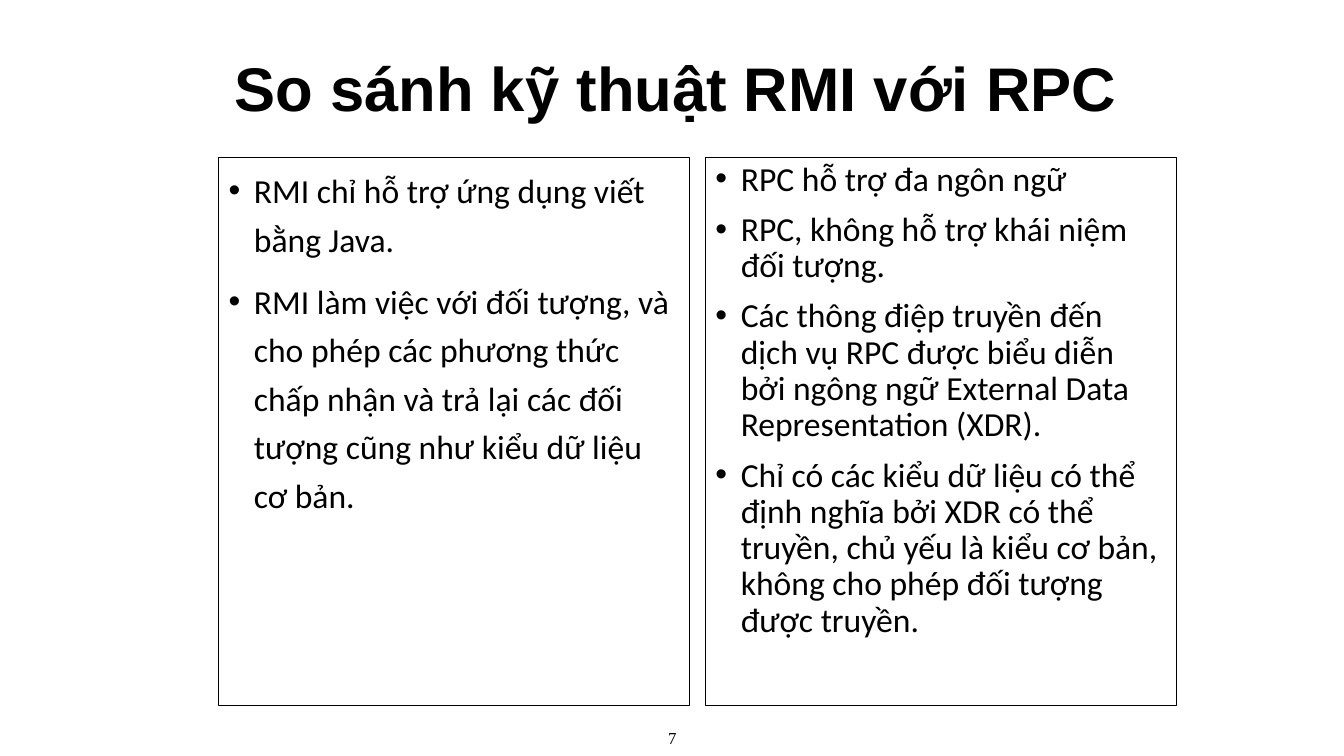
from lxml import etree
from pptx import Presentation
from pptx import util as u
from pptx.dml.color import RGBColor
from pptx.enum import shapes, text
from pptx.oxml import ns

BLACK = RGBColor(0x00, 0x00, 0x00)
WHITE = RGBColor(0xFF, 0xFF, 0xFF)

RMI_POINTS = [
    "RMI chỉ hỗ trợ ứng dụng viết bằng Java.",
    "RMI làm việc với đối tượng, và cho phép các phương thức chấp nhận "
    "và trả lại các đối tượng cũng như kiểu dữ liệu cơ bản.",
]
RPC_POINTS = [
    "RPC hỗ trợ đa ngôn ngữ",
    "RPC, không hỗ trợ khái niệm đối tượng.",
    "Các thông điệp truyền đến dịch vụ RPC được biểu diễn bởi ngông ngữ "
    "External Data Representation (XDR).",
    "Chỉ có các kiểu dữ liệu có thể định nghĩa bởi XDR có thể truyền, "
    "chủ yếu là kiểu cơ bản, không cho phép đối tượng được truyền.",
]


class ComparisonSlide:
    TITLE_FONT, BODY_FONT, NUMBER_FONT = "Arial", "Calibri", "Times New Roman"
    INDENT = u.Cm(0.64)

    def __init__(self, deck):
        self.slide = deck.slides.add_slide(deck.slide_layouts[5])
        self.slide.background.fill.solid()
        self.slide.background.fill.fore_color.rgb = WHITE

    def style(self, paragraph, font, size, align, bold=False):
        paragraph.alignment = align
        for run in paragraph.runs:
            run.font.name = font
            run.font.size = u.Pt(size)
            run.font.bold = bold
            run.font.color.rgb = BLACK

    def title(self, wording, left, top, width, height):
        heading = self.slide.shapes.title
        heading.left, heading.top = left, top
        heading.width, heading.height = width, height
        frame = heading.text_frame
        frame.text = wording
        frame.word_wrap = True
        frame.auto_size = text.MSO_AUTO_SIZE.NONE
        frame.vertical_anchor = text.MSO_ANCHOR.MIDDLE
        frame.paragraphs[0].line_spacing = 0.9
        self.style(frame.paragraphs[0], self.TITLE_FONT, 44, text.PP_ALIGN.LEFT, bold=True)

    def bullet(self, paragraph):
        properties = paragraph._p.get_or_add_pPr()
        properties.set("marL", str(self.INDENT))
        properties.set("indent", str(-self.INDENT))
        etree.SubElement(properties, ns.qn("a:buFont"), typeface="Arial")
        etree.SubElement(properties, ns.qn("a:buChar"), char="•")

    def panel(self, points, left, top, width, height, line_spacing):
        """Outlined box holding a bulleted list."""
        box = self.slide.shapes.add_shape(
            shapes.MSO_SHAPE.RECTANGLE, left, top, width, height)
        box.shadow.inherit = False
        box.fill.background()
        box.line.color.rgb = BLACK
        box.line.width = u.Pt(0.75)
        frame = box.text_frame
        frame.text = "\n".join(points)
        frame.word_wrap = True
        frame.vertical_anchor = text.MSO_ANCHOR.TOP
        for paragraph in frame.paragraphs:
            paragraph.line_spacing = line_spacing
            paragraph.space_before = u.Pt(10)
            self.bullet(paragraph)
            self.style(paragraph, self.BODY_FONT, 24, text.PP_ALIGN.LEFT)

    def page_number(self, number, left, top, width, height):
        frame = self.slide.shapes.add_textbox(left, top, width, height).text_frame
        frame.text = str(number)
        frame.word_wrap = True
        frame.vertical_anchor = text.MSO_ANCHOR.MIDDLE
        self.style(frame.paragraphs[0], self.NUMBER_FONT, 12, text.PP_ALIGN.CENTER)


def main():
    deck = Presentation()
    deck.slide_width, deck.slide_height = u.Cm(33.87), u.Cm(19.05)

    comparison = ComparisonSlide(deck)
    comparison.title("So sánh kỹ thuật RMI với RPC",
                     u.Cm(5.66), u.Cm(1.02), u.Cm(25.86), u.Cm(2.59))

    panel_left, panel_width, panel_gap = u.Cm(5.51), u.Cm(11.86), u.Cm(0.41)
    columns = [(RMI_POINTS, 1.2), (RPC_POINTS, 0.9)]
    for column, (points, line_spacing) in enumerate(columns):
        left = panel_left + column * (panel_width + panel_gap)
        comparison.panel(points, left, u.Cm(3.96), panel_width, u.Cm(13.82), line_spacing)

    comparison.page_number(7, u.Cm(11.23), u.Cm(18.14), u.Cm(11.43), u.Cm(0.91))
    deck.save("out.pptx")


if __name__ == "__main__":
    main()
